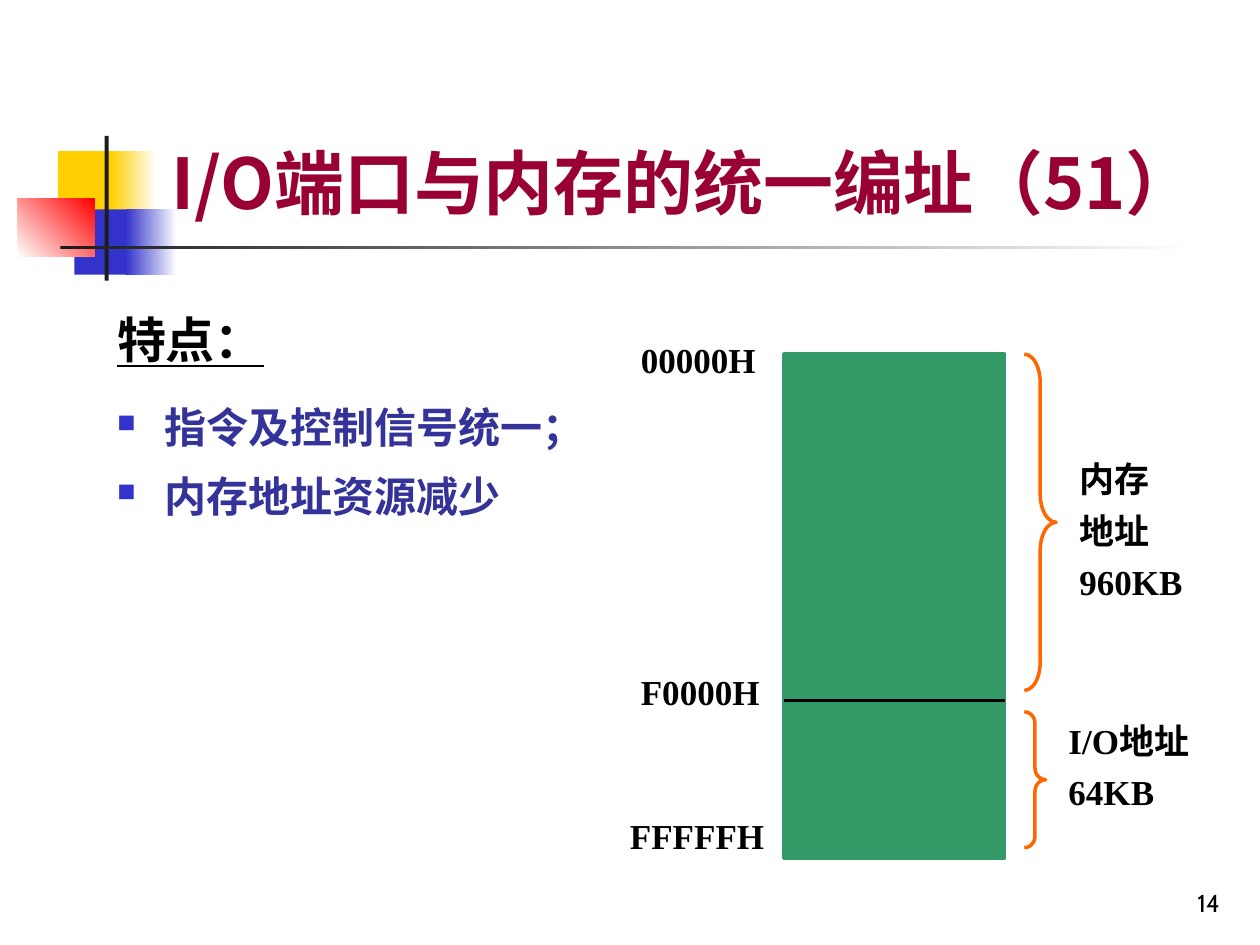
from lxml.etree import SubElement
from pptx import Presentation
from pptx.dml.color import RGBColor
from pptx.enum.shapes import MSO_CONNECTOR, MSO_SHAPE
from pptx.enum.text import MSO_ANCHOR, PP_ALIGN
from pptx.oxml.ns import qn
from pptx.util import Cm, Pt

CJK = "Noto Sans CJK SC"
SERIF = "Times New Roman"


def color(hex_string):
    return RGBColor.from_string(hex_string)


class SlideBuilder:
    """Holds the slide and its style; one method per kind of element."""

    green, orange, black = "339966", "FF6600", "000000"
    line_width = Pt(2)

    def __init__(self, slide):
        self.slide = slide

    def shape(self, kind, left, top, width, height):
        shape = self.slide.shapes.add_shape(
            kind, Cm(left), Cm(top), Cm(width), Cm(height))
        shape.shadow.inherit = False
        return shape

    def block(self, left, top, width, height, fill):
        shape = self.shape(MSO_SHAPE.RECTANGLE, left, top, width, height)
        shape.fill.solid()
        shape.fill.fore_color.rgb = color(fill)
        shape.line.fill.background()
        return shape

    def fade(self, left, top, width, height, start, end, angle=0):
        shape = self.block(left, top, width, height, start)
        shape.fill.gradient()
        shape.fill.gradient_angle = angle
        for stop, position, value in zip(
                shape.fill.gradient_stops, (0, 1), (start, end)):
            stop.position = position
            stop.color.rgb = color(value)

    def brace(self, left, top, width, height, curve):
        shape = self.shape(MSO_SHAPE.RIGHT_BRACE, left, top, width, height)
        shape.adjustments[0] = curve
        shape.fill.background()
        shape.line.color.rgb = color(self.orange)
        shape.line.width = self.line_width

    def rule(self, left, right, top):
        line = self.slide.shapes.add_connector(
            MSO_CONNECTOR.STRAIGHT, Cm(left), Cm(top), Cm(right), Cm(top))
        line.line.color.rgb = color(self.black)
        line.line.width = self.line_width
        SubElement(line._element.spPr, qn("a:effectLst"))

    def text_frame(self, left, top, width, height, anchor=MSO_ANCHOR.TOP):
        text_box = self.slide.shapes.add_textbox(
            Cm(left), Cm(top), Cm(width), Cm(height))
        text_frame = text_box.text_frame
        text_frame.word_wrap = True
        text_frame.vertical_anchor = anchor
        return text_frame

    def format(self, paragraph, size, font, fill="000000", bold=True):
        for run in paragraph.runs:
            run.font.size = Pt(size)
            run.font.bold = bold
            run.font.name = font
            run.font.color.rgb = color(fill)
            east_asian = SubElement(run._r.get_or_add_rPr(), qn("a:ea"))
            east_asian.set("typeface", CJK)

    def bullet(self, paragraph, fill):
        properties = paragraph._p.get_or_add_pPr()
        properties.set("marL", str(Cm(0.95)))
        properties.set("indent", str(-Cm(0.95)))
        bullet_color = SubElement(properties, qn("a:buClr"))
        SubElement(bullet_color, qn("a:srgbClr")).set("val", fill)
        SubElement(properties, qn("a:buSzPct")).set("val", "60000")
        SubElement(properties, qn("a:buChar")).set("char", "■")

    def label(self, left, top, width, height, lines):
        text_frame = self.text_frame(left, top, width, height)
        text_frame.text = "\n".join(text for text, _ in lines)
        for index, (_, font) in enumerate(lines):
            paragraph = text_frame.paragraphs[index]
            paragraph.line_spacing = 0.8
            if index:
                paragraph.space_before = Pt(10)
            self.format(paragraph, 20, font)


def main():
    presentation = Presentation()
    presentation.slide_width, presentation.slide_height = Cm(25.4), Cm(19.05)
    slide = presentation.slides.add_slide(presentation.slide_layouts[6])
    builder = SlideBuilder(slide)

    # Corner ornament and title rule
    yellow, blue, red, dark, white = (
        "FFCF01", "3333CC", "FF0000", "1C1C1C", "FFFFFF")
    builder.block(1.17, 3.05, 1.22, 1.32, yellow)
    builder.fade(2.24, 3.05, 0.91, 1.32, yellow, white)
    builder.block(1.5, 4.22, 1.17, 1.32, blue)
    builder.fade(2.54, 4.22, 1.02, 1.32, blue, white)
    builder.fade(0.36, 4.01, 1.55, 1.17, white, red, angle=45)
    builder.block(2.11, 2.74, 0.08, 2.92, dark)
    builder.fade(1.22, 4.95, 22.86, 0.08, dark, white)

    # Slide number
    text_frame = builder.text_frame(19.56, 17.35, 5.28, 1.27, MSO_ANCHOR.BOTTOM)
    text_frame.text = "14"
    text_frame.paragraphs[0].alignment = PP_ALIGN.RIGHT
    builder.format(text_frame.paragraphs[0], 14, "Cabin", bold=False)

    # Title
    text_frame = builder.text_frame(3.2, 0.58, 21.64, 4.06, MSO_ANCHOR.BOTTOM)
    text_frame.text = "I/O端口与内存的统一编址（51）"
    builder.format(text_frame.paragraphs[0], 40, CJK, "990033")

    # Features
    text_frame = builder.text_frame(2.11, 6.12, 10.01, 11)
    text_frame.text = "特点：\n指令及控制信号统一；\n内存地址资源减少"
    heading, *features = text_frame.paragraphs
    heading.space_after = Pt(8.4)
    builder.format(heading, 28, CJK)
    heading.runs[0].font.underline = True
    for paragraph in features:
        paragraph.line_spacing = 1.2
        paragraph.space_before = Pt(4.8)
        builder.bullet(paragraph, blue)
        builder.format(paragraph, 24, CJK, "333399")

    # Address space with the memory and port ranges
    left, width, top, height, border = 15.8, 4.45, 7.14, 10.16, 14.12
    memory = builder.block(left, top, width, height, builder.green)
    memory.line.color.rgb = color(builder.green)
    memory.line.width = builder.line_width
    builder.rule(left, left + width, border)
    builder.brace(20.65, top, 0.64, 6.78, 0.89)
    builder.brace(20.65, 14.35, 0.43, 2.74, 0.54)

    # Range and address labels
    builder.label(21.51, 9.27, 3, 3.15,
                  [("内存", CJK), ("地址", CJK), ("960KB", SERIF)])
    builder.label(21.29, 14.55, 3.61, 2.03,
                  [("I/O地址", SERIF), ("64KB", SERIF)])
    for text, label_left, label_top in (
            ("00000H", 12.67, 6.86), ("F0000H", 12.67, 13.56),
            ("FFFFFH", 12.45, 16.46)):
        builder.label(label_left, label_top, 4.04, 0.94, [(text, SERIF)])

    presentation.save("out.pptx")


if __name__ == "__main__":
    main()
